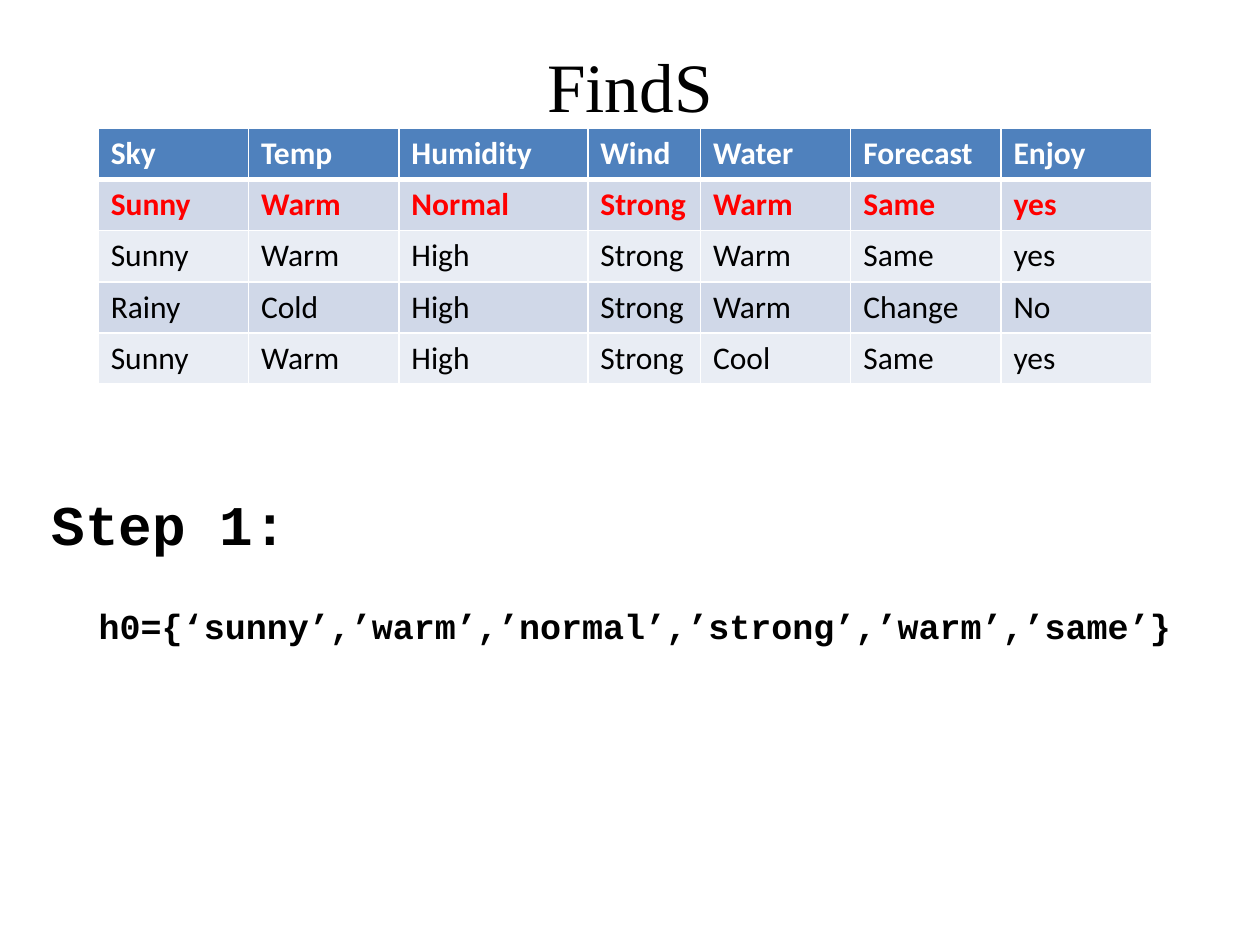
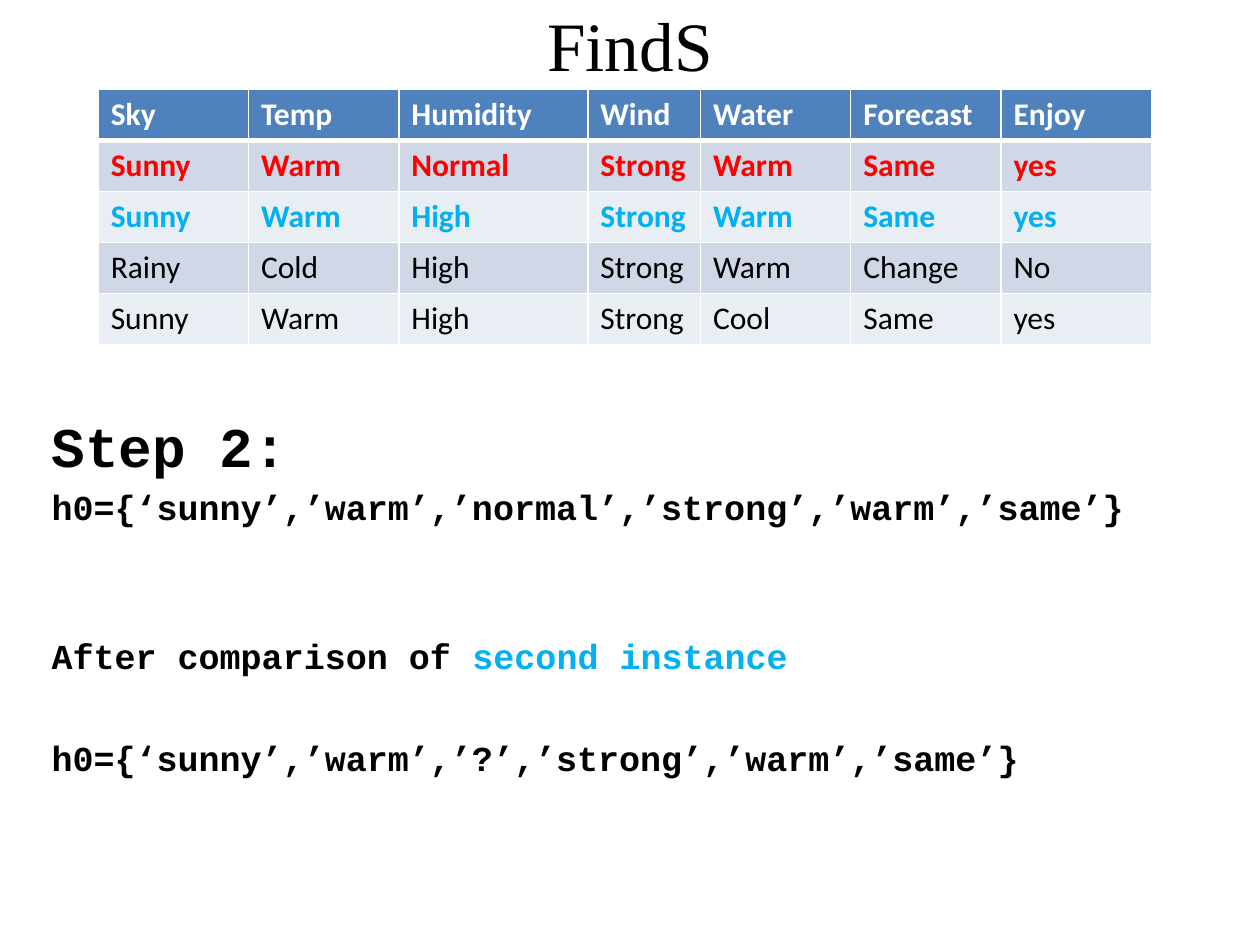
from lxml.etree import SubElement
from pptx import Presentation
from pptx.dml.color import RGBColor
from pptx.enum.text import MSO_ANCHOR, PP_ALIGN
from pptx.oxml.ns import qn
from pptx.util import Cm, Pt

# Content
TITLE = "FindS"
HEADERS = ["Sky", "Temp", "Humidity", "Wind", "Water", "Forecast", "Enjoy"]
INSTANCES = [
    ["Sunny", "Warm", "Normal", "Strong", "Warm", "Same", "yes"],
    ["Sunny", "Warm", "High", "Strong", "Warm", "Same", "yes"],
    ["Rainy", "Cold", "High", "Strong", "Warm", "Change", "No"],
    ["Sunny", "Warm", "High", "Strong", "Cool", "Same", "yes"],
]
FIRST_HYPOTHESIS = "h0={‘sunny’,’warm’,’normal’,’strong’,’warm’,’same’}"
SECOND_HYPOTHESIS = "h0={‘sunny’,’warm’,’?’,’strong’,’warm’,’same’}"

# Each line: spans of (text, colour), size, space before (pt), indent (cm)
STEPS = [
    {
        "title_top": 0.87, "table_top": 2.59, "text_inset": 6.69,
        "highlights": {1: "first"},
        "lines": [
            ([("Step 1:", "black")], 32, 0, 0),
            ([(FIRST_HYPOTHESIS, "black")], 20, 27, 0.95),
        ],
    },
    {
        "title_top": 0.05, "table_top": 1.8, "text_inset": 5.12,
        "highlights": {1: "first", 2: "second"},
        "lines": [
            ([("Step 2:", "black")], 32, 0, 0),
            ([(FIRST_HYPOTHESIS, "black")], 20, 4, 0),
            ([("After comparison of ", "black"), ("second instance", "second")], 20, 61, 0),
            ([(SECOND_HYPOTHESIS, "black")], 20, 34, 0),
        ],
    },
]

# Shared look
COLORS = {
    "black": "000000", "white": "FFFFFF", "first": "FF0000", "second": "00B0F0",
    "header": "4F81BD", "odd": "D0D8E8", "even": "E9EDF4",
}
COLUMN_WIDTHS = [3.03, 3.03, 3.81, 2.27, 3.03, 3.03, 3.03]
ROW_HEIGHT = 1.03


def color(name):
    return RGBColor.from_string(COLORS[name])


def style_font(font, name, size, color_name, bold=False):
    font.name, font.size, font.bold = name, Pt(size), bold
    font.color.rgb = color(color_name)


def add_title(page, top):
    box = page.shapes.add_textbox(Cm(1.27), Cm(top), Cm(22.86), Cm(1.65))
    frame = box.text_frame
    frame.word_wrap = True
    frame.margin_top = frame.margin_bottom = 0
    frame.vertical_anchor = MSO_ANCHOR.TOP
    para = frame.paragraphs[0]
    para.text = TITLE
    para.alignment = PP_ALIGN.CENTER
    style_font(para.font, "Times New Roman", 39.6, "black")


def add_step_text(page, inset, lines):
    box = page.shapes.add_textbox(Cm(0.79), Cm(3.18), Cm(23.34), Cm(13.84))
    frame = box.text_frame
    frame.word_wrap = True
    frame.margin_top = Cm(inset)
    for index, (spans, size, space, indent) in enumerate(lines):
        para = frame.add_paragraph() if index else frame.paragraphs[0]
        para.space_before = Pt(space)
        para._p.get_or_add_pPr().set("marL", str(Cm(indent)))
        style_font(para.font, "Courier New", size, "black", bold=True)
        for text, color_name in spans:
            span = para.add_run()
            span.text = text
            span.font.color.rgb = color(color_name)


def add_borders(cell, widths):
    properties = cell._tc.get_or_add_tcPr()
    for side, width in zip("LRTB", widths):
        line = SubElement(properties, qn(f"a:ln{side}"), w=str(Pt(width)))
        fill = SubElement(line, qn("a:solidFill"))
        SubElement(fill, qn("a:srgbClr"), val=COLORS["white"])


def add_instance_table(page, top, highlights):
    rows = [HEADERS] + INSTANCES
    table = page.shapes.add_table(
        len(rows), len(HEADERS), Cm(1.98), Cm(top),
        Cm(sum(COLUMN_WIDTHS)), Cm(ROW_HEIGHT * len(rows))).table
    for column, width in zip(table.columns, COLUMN_WIDTHS):
        column.width = Cm(width)
    for row_index, values in enumerate(rows):
        table.rows[row_index].height = Cm(ROW_HEIGHT)
        is_header = row_index == 0
        fill_name = "header" if is_header else ("odd" if row_index % 2 else "even")
        text_name = "white" if is_header else highlights.get(row_index, "black")
        # The rule under the header is thicker
        borders = (1, 1, 3 if row_index == 1 else 1, 3 if is_header else 1)
        for column_index, value in enumerate(values):
            cell = table.cell(row_index, column_index)
            add_borders(cell, borders)
            cell.fill.solid()
            cell.fill.fore_color.rgb = color(fill_name)
            para = cell.text_frame.paragraphs[0]
            para.text = value
            style_font(para.font, "Calibri", 18, text_name, bold=text_name != "black")


def main():
    deck = Presentation()
    deck.slide_width, deck.slide_height = Cm(25.4), Cm(19.05)
    for step in STEPS:
        page = deck.slides.add_slide(deck.slide_layouts[6])
        add_title(page, step["title_top"])
        add_step_text(page, step["text_inset"], step["lines"])
        add_instance_table(page, step["table_top"], step["highlights"])
    deck.save("out.pptx")


if __name__ == "__main__":
    main()
